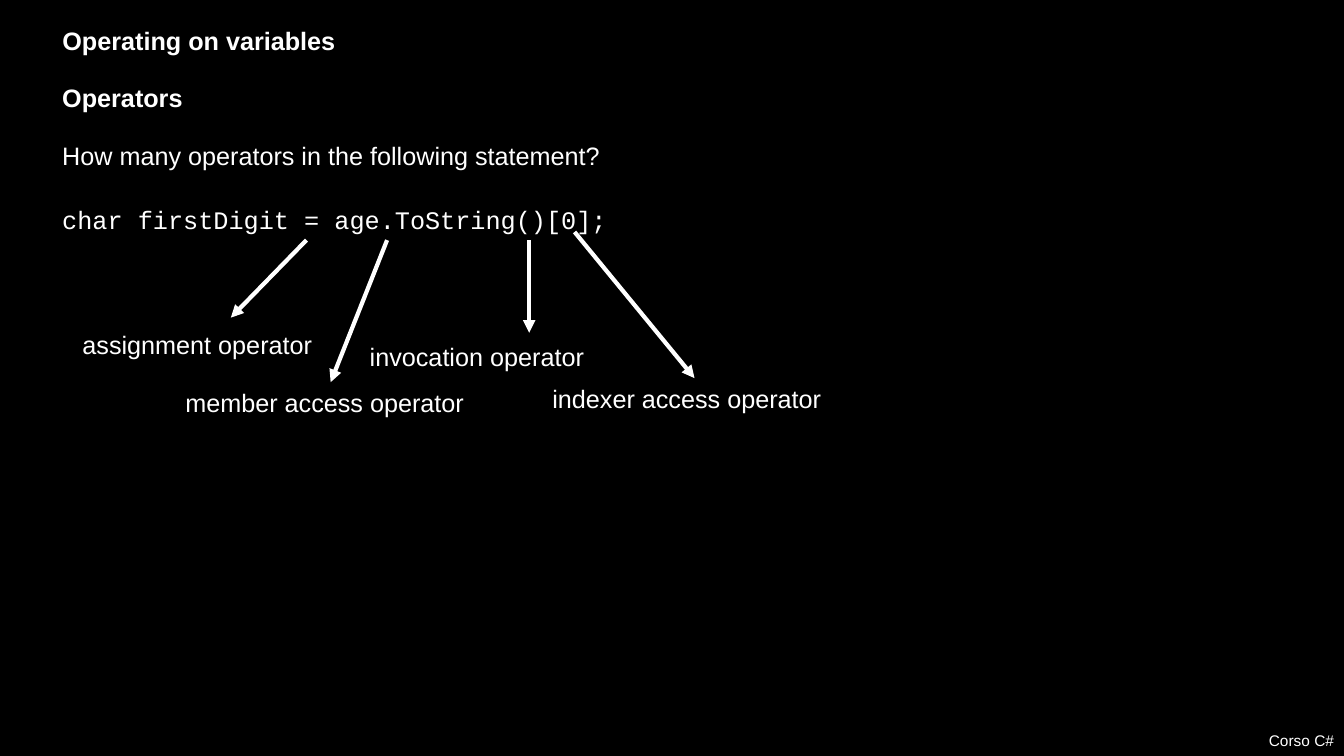
from lxml import etree
from pptx import Presentation
from pptx.dml.color import RGBColor
from pptx.enum.shapes import MSO_CONNECTOR
from pptx.enum.text import MSO_ANCHOR, PP_ALIGN
from pptx.oxml.ns import qn
from pptx.util import Pt

LINE = MSO_CONNECTOR.STRAIGHT
TOP = MSO_ANCHOR.TOP
LEFT, RIGHT = PP_ALIGN.LEFT, PP_ALIGN.RIGHT
BLACK, WHITE = "000000", "FFFFFF"
SANS, MONO = "Arial", "Courier New"
WIDE, HIGH = 960, 540
ROW, STEP = 28.8, 41.05

CALLS = [
    ("assignment operator", (14.4, 135.4, 183.6), (181.5, 75), (127.5, 130.4)),
    ("member access operator", (87.9, 176.5, 222.5), (239.1, 75), (198.8, 176.5)),
    ("invocation operator", (219.6, 144.1, 169.2), (340.6, 75), (340.6, 141.2)),
    ("indexer access operator", (350, 173.6, 217.4), (373, 69.2), (458.7, 173.6)),
]


def color(code):
    """Turn a hex string into a colour."""
    return RGBColor.from_string(code)


def place(shape, box):
    """Move and size a shape to a box in points."""
    shape.left, shape.top, shape.width, shape.height = map(Pt, box)


def write(shape, lines, size=18, bold=False, align=LEFT, wrap=True):
    """Fill a shape with lines given as text and font pairs."""
    frame = shape.text_frame
    frame.word_wrap = wrap
    frame.vertical_anchor = TOP
    for i, (text, font) in enumerate(lines):
        para = frame.paragraphs[0] if i == 0 else frame.add_paragraph()
        para.alignment = align
        para.space_before = Pt(24 if i else 0)
        run = para.add_run()
        run.text = text
        run.font.name = font
        run.font.size = Pt(size)
        run.font.bold = bold
        run.font.color.rgb = color(WHITE)


def label(slide, box, lines, **style):
    """Add a text box with the given lines."""
    shape = slide.shapes.add_textbox(*map(Pt, box))
    write(shape, lines, **style)


def arrow(slide, start, end):
    """Draw a white arrow between two points."""
    line = slide.shapes.add_connector(LINE, *map(Pt, start + end))
    line.line.color.rgb = color(WHITE)
    line.line.width = Pt(3)
    tip = etree.SubElement(line.line._get_or_add_ln(), qn("a:tailEnd"))
    tip.set("type", "triangle")
    etree.SubElement(line._element.spPr, qn("a:effectLst"))


def heads(slide, box):
    """Place the title and the subtitle in the box."""
    x, y, w, h = box
    title = slide.shapes.title
    place(title, (x, y, 212.4, ROW))
    write(title, [("Operating on variables", SANS)], bold=True, wrap=False)
    label(slide, (x, y + STEP, w, ROW), [("Operators", SANS)], bold=True)


def puzzle(slide, box):
    """Place the question, the statement and its marked operators."""
    x, y, w, h = box
    label(slide, (x, y, 407.5, 75), [
        ("How many operators in the following statement?", SANS),
        ("char firstDigit = age.ToString()[0];", MONO),
    ])
    for text, (dx, dy, width), start, end in CALLS:
        arrow(slide, (x + start[0], y + start[1]), (x + end[0], y + end[1]))
        label(slide, (x + dx, y + dy, width, ROW), [(text, SANS)])


def footer(slide, box):
    """Place the course name at the right of the box."""
    label(slide, box, [("Corso C#", SANS)], size=11, align=RIGHT)


def main():
    """Build and save the slide."""
    deck = Presentation()
    deck.slide_width, deck.slide_height = Pt(WIDE), Pt(HIGH)
    slide = deck.slides.add_slide(deck.slide_layouts.get_by_name("Title Only"))
    slide.background.fill.solid()
    slide.background.fill.fore_color.rgb = color(BLACK)
    heads(slide, (37.4, 14.4, 823, 2 * STEP))
    puzzle(slide, (37.4, 14.4 + 2 * STEP, 823, 206))
    footer(slide, (0, 519, WIDE, 21))
    deck.save("out.pptx")


if __name__ == "__main__":
    main()
